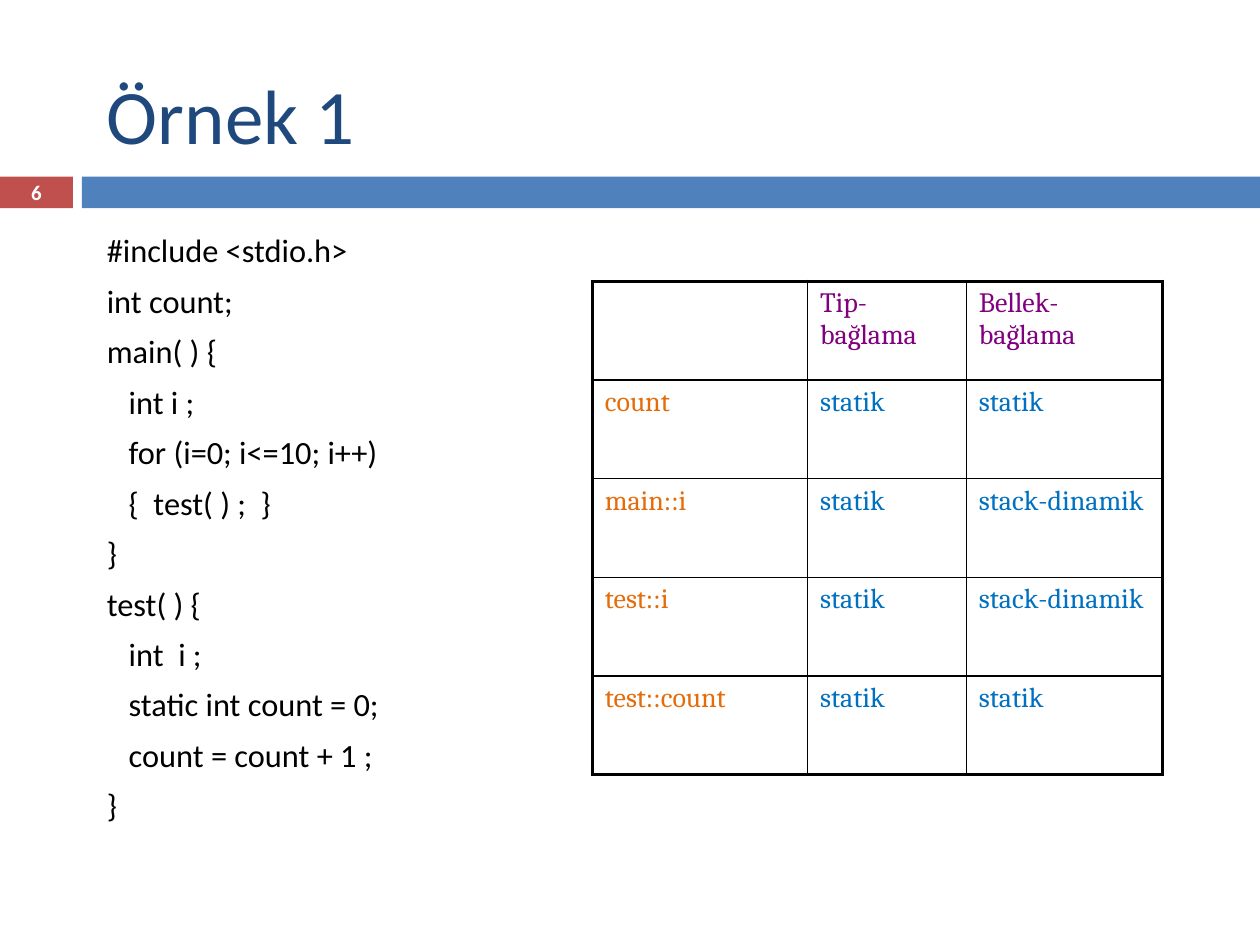
import pptx
import pptx.dml.color
import pptx.enum.shapes
import pptx.enum.text
import pptx.oxml
import pptx.oxml.ns
import pptx.util

Cm = pptx.util.Cm
Pt = pptx.util.Pt
ANCHOR = pptx.enum.text.MSO_ANCHOR
ALIGN = pptx.enum.text.PP_ALIGN

CODE = """#include <stdio.h>
int count;
main( ) {
   int i ;
   for (i=0; i<=10; i++)
   {  test( ) ;  }
}
test( ) {
   int  i ;
   static int count = 0;
   count = count + 1 ;
}""".split("\n")

BINDINGS = [
    ("", "Tip-bağlama", "Bellek-bağlama"),
    ("count", "statik", "statik"),
    ("main::i", "statik", "stack-dinamik"),
    ("test::i", "statik", "stack-dinamik"),
    ("test::count", "statik", "statik"),
]


def color(hex_value):
    return pptx.dml.color.RGBColor.from_string(hex_value)


def apply(target, formats):
    for name, value in formats.items():
        setattr(target, name, value)


def set_font(paragraph, size, hex_value, name="Calibri", bold=False):
    apply(paragraph.font, {"size": Pt(size), "name": name, "bold": bold})
    paragraph.font.color.rgb = color(hex_value)


def place(part, box):
    apply(part, dict(zip(("left", "top", "width", "height"), map(Cm, box))))


def add_title(slide, box, text):
    title = slide.shapes.title
    place(title, box)
    title.text_frame.text = text
    apply(title.text_frame, {"vertical_anchor": ANCHOR.MIDDLE,
                             "auto_size": pptx.enum.text.MSO_AUTO_SIZE.NONE})
    heading = title.text_frame.paragraphs[0]
    heading.alignment = ALIGN.LEFT
    set_font(heading, 44, "1F497D")


def add_band(slide, box, number):
    left, top, width, height = box
    number_width, gap = 1.47, 0.18
    bar_left = left + number_width + gap
    # Red number block and blue bar
    parts = [((left, top, number_width, height), "C0504D"),
             ((bar_left, top, left + width - bar_left, height), "4F81BD")]
    for part_box, fill in parts:
        block = slide.shapes.add_shape(
            pptx.enum.shapes.MSO_SHAPE.RECTANGLE, *map(Cm, part_box))
        block.shadow.inherit = False
        block.fill.solid()
        block.fill.fore_color.rgb = color(fill)
        block.line.fill.background()
    # Page number
    label = slide.shapes.add_textbox(*map(Cm, (left, top, number_width, height)))
    frame = label.text_frame
    apply(frame, {"word_wrap": True, "vertical_anchor": ANCHOR.MIDDLE,
                  "margin_top": 0, "margin_bottom": 0})
    frame.text = number
    frame.paragraphs[0].alignment = ALIGN.CENTER
    set_font(frame.paragraphs[0], 11.9, "FFFFFF", bold=True)


def add_code(slide, box, lines):
    body = slide.placeholders[1]
    place(body, box)
    frame = body.text_frame
    frame.auto_size = pptx.enum.text.MSO_AUTO_SIZE.NONE
    frame.text = "\n".join(lines)
    for index, line in enumerate(frame.paragraphs):
        properties = line._p.get_or_add_pPr()
        properties.set("marL", str(Cm(0.89)))
        properties.set("indent", str(Cm(-0.89)))
        line.space_before = Pt(6.6 if index else 0)
        properties.append(pptx.oxml.parse_xml(
            f'<a:buNone {pptx.oxml.ns.nsdecls("a")}/>'))
        set_font(line, 18.5, "000000")


def set_borders(cell, widths):
    properties = cell._tc.get_or_add_tcPr()
    for position, (side, width) in enumerate(widths.items()):
        properties.insert(position, pptx.oxml.parse_xml(
            f'<a:ln{side} {pptx.oxml.ns.nsdecls("a")} w="{Pt(width)}">'
            '<a:solidFill><a:srgbClr val="000000"/></a:solidFill>'
            f'</a:ln{side}>'))


def add_bindings(slide, box, rows):
    column_widths = (4.34, 3.2, 3.96)
    last_row, last_column = len(rows) - 1, len(column_widths) - 1
    table = slide.shapes.add_table(
        len(rows), len(column_widths), *map(Cm, box)).table
    apply(table, {"first_row": False, "horz_banding": False})
    for column, width in zip(table.columns, column_widths):
        column.width = Cm(width)
    for r, row in enumerate(rows):
        for c, text in enumerate(row):
            cell = table.cell(r, c)
            cell.fill.background()
            # Thick outer frame, thin inner grid
            edges = {"L": c == 0, "R": c == last_column,
                     "T": r == 0, "B": r == last_row}
            set_borders(cell, {side: 2.25 if outer else 1
                               for side, outer in edges.items()})
            cell.text = text
            hex_value = ("800080" if r == 0 else
                         "E46C0A" if c == 0 else "0070C0")
            set_font(cell.text_frame.paragraphs[0], 16, hex_value, "Cambria")


def main():
    deck = pptx.Presentation()
    apply(deck, {"slide_width": Cm(25.4), "slide_height": Cm(19.05)})
    slide = deck.slides.add_slide(deck.slide_layouts[1])
    add_band(slide, (0, 3.56, 25.4, 0.64), "6")
    add_code(slide, (1.9, 4.52, 10.6, 11.43), CODE)
    add_bindings(slide, (11.94, 5.67, 11.5, 9.95), BINDINGS)
    add_title(slide, (1.9, 0.71, 21.6, 3.18), "Örnek 1")
    deck.save("out.pptx")


if __name__ == "__main__":
    main()
